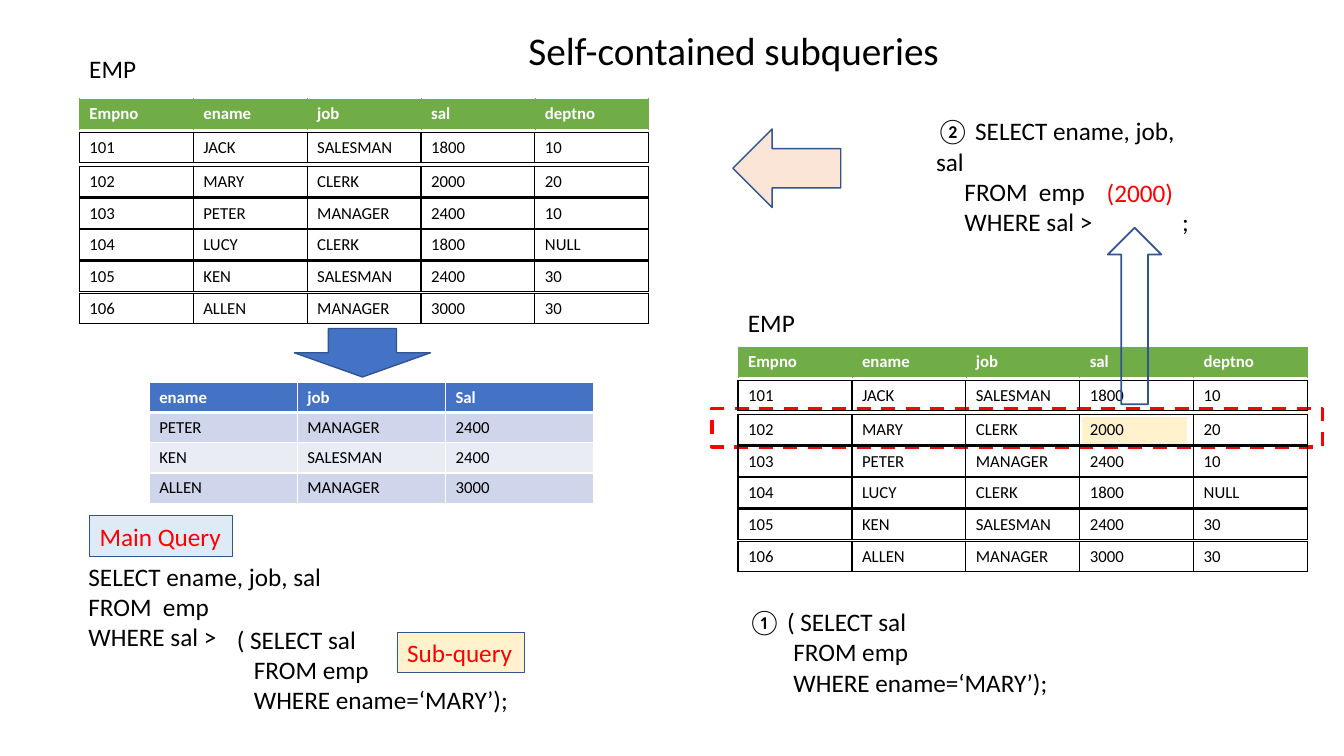
from dataclasses import dataclass

from lxml.etree import SubElement
from pptx import Presentation
from pptx.dml.color import RGBColor
from pptx.enum.dml import MSO_LINE
from pptx.enum.shapes import MSO_SHAPE
from pptx.enum.text import MSO_ANCHOR, PP_ALIGN
from pptx.oxml.ns import qn
from pptx.util import Cm, Pt


@dataclass(frozen=True)
class Theme:
    """Colours, font and type sizes of the slide."""
    font: str = "Calibri"
    title: int = 28
    body: int = 18
    cell: int = 12
    black: str = "000000"
    white: str = "FFFFFF"
    red: str = "FF0000"
    green: str = "70AD47"
    blue: str = "4472C4"
    outline: str = "325491"
    pale_blue: str = "DEEBF7"
    pale_yellow: str = "FFF2CC"
    pale_orange: str = "FBE5D6"
    bands: tuple = ("CFD5EA", "E9EBF5")


@dataclass(frozen=True)
class Box:
    """A region in centimetres."""
    left: float
    top: float
    width: float
    height: float

    def inner(self, dx, dy, width, height):
        """Return a box placed relative to this one."""
        return Box(self.left + dx, self.top + dy, width, height)

    def lengths(self):
        """Return left, top, width and height as slide lengths."""
        return [Cm(n) for n in (self.left, self.top, self.width, self.height)]


THEME = Theme()
EMP_FIELDS = ["Empno", "ename", "job", "sal", "deptno"]
EMPLOYEES = [
    ["101", "JACK", "SALESMAN", "1800", "10"],
    ["102", "MARY", "CLERK", "2000", "20"],
    ["103", "PETER", "MANAGER", "2400", "10"],
    ["104", "LUCY", "CLERK", "1800", "NULL"],
    ["105", "KEN", "SALESMAN", "2400", "30"],
    ["106", "ALLEN", "MANAGER", "3000", "30"],
]
RESULT_ROWS = [
    ["ename", "job", "Sal"],
    ["PETER", "MANAGER", "2400"],
    ["KEN", "SALESMAN", "2400"],
    ["ALLEN", "MANAGER", "3000"],
]
ROW_HEIGHT = 0.76


def style(paragraph, size, color, bold=False):
    """Set the font of a paragraph."""
    font = paragraph.font
    font.name, font.size, font.bold = THEME.font, Pt(size), bold
    font.color.rgb = RGBColor.from_string(color)


def write(frame, lines, color=THEME.black, wrap=False, tab=None):
    """Fill a text frame with one paragraph per line."""
    frame.word_wrap = wrap
    frame.text = "\n".join(lines)
    for paragraph in frame.paragraphs:
        paragraph.alignment = PP_ALIGN.LEFT
        if tab and "\t" in paragraph.text:
            stops = SubElement(paragraph._p.get_or_add_pPr(), qn("a:tabLst"))
            SubElement(stops, qn("a:tab"), pos=str(Cm(tab)), algn="l")
        style(paragraph, THEME.body, color)


def add_text(slide, box, lines, **options):
    """Add a text box."""
    write(slide.shapes.add_textbox(*box.lengths()).text_frame, lines, **options)


def add_figure(slide, kind, box, fill, line, weight=1):
    """Add a preset shape with its fill and outline."""
    figure = slide.shapes.add_shape(kind, *box.lengths())
    figure.shadow.inherit = False
    if fill:
        figure.fill.solid()
        figure.fill.fore_color.rgb = RGBColor.from_string(fill)
    else:
        figure.fill.background()
    figure.line.color.rgb = RGBColor.from_string(line)
    figure.line.width = Pt(weight)
    return figure


def add_tag(slide, box, caption, fill):
    """Add an outlined caption in red."""
    tag = add_figure(slide, MSO_SHAPE.RECTANGLE, box, fill, THEME.outline, 0.75)
    write(tag.text_frame, [caption], THEME.red)


def format_cell(cell, fill, color, bold, borders):
    """Set the borders, fill and font of a cell."""
    properties = cell._tc.get_or_add_tcPr()
    for side, (line_color, weight) in zip("LRTB", borders):
        line = SubElement(properties, qn(f"a:ln{side}"), w=str(Pt(weight)))
        SubElement(SubElement(line, qn("a:solidFill")), qn("a:srgbClr"), val=line_color)
    if fill:
        cell.fill.solid()
        cell.fill.fore_color.rgb = RGBColor.from_string(fill)
    else:
        cell.fill.background()
    style(cell.text_frame.paragraphs[0], THEME.cell, color, bold)


def add_grid(slide, box, rows, look):
    """Add a table whose row formats come from the look function."""
    grid = slide.shapes.add_table(len(rows), len(rows[0]), *box.lengths()).table
    grid.first_row = grid.horz_banding = False
    for r, values in enumerate(rows):
        for c, value in enumerate(values):
            cell = grid.cell(r, c)
            cell.text = value
            format_cell(cell, *look(r))


def emp_header(row):
    """Return the format of the EMP header."""
    green = (THEME.green, 0.5)
    return THEME.green, THEME.white, True, [green, green, green, (THEME.white, 1)]


def emp_row(row):
    """Return the format of an EMP record."""
    return None, THEME.black, False, [(THEME.black, 1)] * 4


def result_row(row):
    """Return the format of a row of the result."""
    white = (THEME.white, 1)
    if row == 0:
        return THEME.blue, THEME.white, True, [white] * 3 + [(THEME.white, 3)]
    return THEME.bands[(row - 1) % 2], THEME.black, False, [white] * 4


def add_title(slide, box):
    """Place the slide title."""
    title = slide.shapes.title
    title.left, title.top, title.width, title.height = box.lengths()
    write(title.text_frame, ["Self-contained subqueries"])
    title.text_frame.vertical_anchor = MSO_ANCHOR.MIDDLE
    style(title.text_frame.paragraphs[0], THEME.title, THEME.black)


def add_emp(slide, box):
    """Place the EMP label above its separate records, which end at the box bottom."""
    add_text(slide, box.inner(0, 0, 1.7, 1.02), ["EMP"])
    header_top = box.height - 5.66
    add_grid(slide, box.inner(0, header_top, box.width, ROW_HEIGHT), [EMP_FIELDS], emp_header)
    for i, employee in enumerate(EMPLOYEES):
        offset = 0.84 if i == 0 else 0.9 + 0.8 * i
        add_grid(slide, box.inner(0, header_top + offset, box.width, ROW_HEIGHT), [employee], emp_row)


def add_result(slide, box):
    """Place the down arrow and the result table."""
    add_grid(slide, box.inner(0, 1.35, box.width, 4 * ROW_HEIGHT), RESULT_ROWS, result_row)
    add_figure(slide, MSO_SHAPE.DOWN_ARROW, box.inner(3.66, 0, 3.43, 1.22), THEME.blue, THEME.outline)


def add_full_query(slide, box):
    """Place the main query with its nested sub-query and captions."""
    add_text(slide, box.inner(0, 1.02, 6.45, 2.57),
             ["SELECT ename, job, sal", "FROM  emp", "WHERE sal >"], wrap=True)
    add_text(slide, box.inner(3.74, 2.6, 7.72, 2.57),
             ["( SELECT sal", "   FROM emp", "   WHERE ename=‘MARY’);"], wrap=True)
    add_tag(slide, box.inner(0.28, 0, 3.61, 1.02), "Main Query", THEME.pale_blue)
    add_tag(slide, box.inner(8.03, 2.93, 3.2, 1.02), "Sub-query", THEME.pale_yellow)


def add_subquery_step(slide, box):
    """Place step one: the matching record, its value and the sub-query."""
    add_figure(slide, MSO_SHAPE.RECTANGLE, box.inner(8.69, 2.9, 2.62, 0.66),
               THEME.pale_yellow, THEME.pale_yellow)
    match = add_figure(slide, MSO_SHAPE.RECTANGLE, box.inner(-0.66, 2.67, 15.39, 0.97),
                       None, THEME.red, 2.5)
    match.line.dash_style = MSO_LINE.DASH
    add_emp(slide, box)
    add_figure(slide, MSO_SHAPE.UP_ARROW, box.inner(9.32, -1.88, 1.35, 4.45), None, THEME.outline, 1.25)
    add_text(slide, box.inner(0, 7.54, 8.15, 2.57),
             ["① ( SELECT sal", "        FROM emp", "        WHERE ename=‘MARY’);"], wrap=True)


def add_main_step(slide, box):
    """Place step two: the main query with the returned value."""
    add_figure(slide, MSO_SHAPE.LEFT_ARROW, box.inner(0, 0.46, 2.72, 1.98),
               THEME.pale_orange, THEME.outline)
    add_text(slide, box.inner(4.87, 0, 7.24, 2.57),
             ["② SELECT ename, job, sal", "     FROM  emp", "     WHERE sal >\t;"], wrap=True, tab=6.2)
    add_text(slide, box.inner(9.17, 1.55, 2.21, 1.02), ["(2000)"], color=THEME.red)


def main():
    """Build and save the slide."""
    deck = Presentation()
    deck.slide_width, deck.slide_height = Cm(33.87), Cm(19.05)
    slide = deck.slides.add_slide(deck.slide_layouts[5])
    add_title(slide, Box(13.06, 0.53, 11, 1.45))
    add_emp(slide, Box(2, 1.22, 14.35, 6.93))
    add_result(slide, Box(3.76, 8.28, 11.2, 4.4))
    add_full_query(slide, Box(1.98, 13, 11.5, 5.2))
    add_subquery_step(slide, Box(18.6, 7.62, 14.35, 6.78))
    add_main_step(slide, Box(18.47, 2.79, 12.1, 2.6))
    deck.save("out.pptx")


if __name__ == "__main__":
    main()
